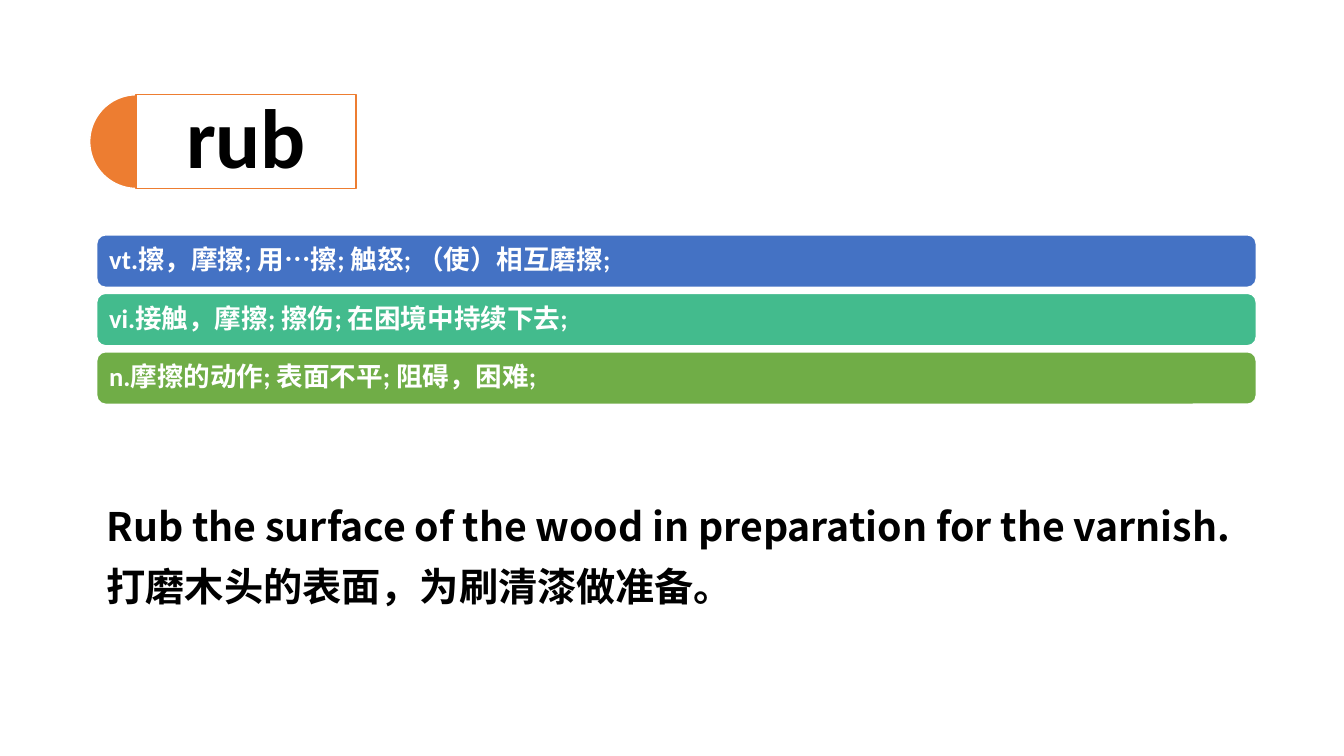
from pptx import Presentation
from pptx.dml.color import RGBColor
from pptx.enum.shapes import MSO_SHAPE
from pptx.enum.text import MSO_ANCHOR, PP_ALIGN
from pptx.util import Inches, Pt

PIE = MSO_SHAPE.PIE
RECT = MSO_SHAPE.RECTANGLE
ROUND = MSO_SHAPE.ROUNDED_RECTANGLE
MIDDLE = MSO_ANCHOR.MIDDLE
LEFT, CENTER = PP_ALIGN.LEFT, PP_ALIGN.CENTER

COLORS = {
    "white": "FFFFFF",
    "black": "000000",
    "orange": "ED7D31",
    "blue": "4472C4",
    "teal": "43BB8D",
    "green": "70AD47",
}


def add_block(kind, x, y, w, h, fill, line):
    block = slide.shapes.add_shape(kind, Inches(x), Inches(y), Inches(w), Inches(h))
    block.shadow.inherit = False
    block.fill.solid()
    block.fill.fore_color.rgb = RGBColor.from_string(COLORS[fill])
    block.line.color.rgb = RGBColor.from_string(COLORS[line])
    block.line.width = Pt(1)
    return block


def set_text(shape, text, font, size, color, align=LEFT, inset=0.1):
    frame = shape.text_frame
    frame.word_wrap = True
    frame.vertical_anchor = MIDDLE
    frame.margin_left = frame.margin_right = Inches(inset)
    frame.margin_top = frame.margin_bottom = Inches(0.05)
    para = frame.paragraphs[0]
    para.text = text
    para.alignment = align
    para.font.name = font
    para.font.size = Pt(size)
    para.font.bold = True
    para.font.color.rgb = RGBColor.from_string(COLORS[color])
    return para


prs = Presentation()
prs.slide_width = Inches(13.33)
prs.slide_height = Inches(7.5)
slide = prs.slides.add_slide(prs.slide_layouts[6])

cap = add_block(PIE, 0.89, 0.94, 0.93, 0.93, "orange", "white")
cap.adjustments[0] = 54
cap.adjustments[1] = 162

title = add_block(RECT, 1.35, 0.94, 2.18, 0.93, "white", "orange")
para = set_text(title, "rub", "Calibri", 60, "black", CENTER, 0.25)
para.line_spacing = 0.9

senses = [
    ("vt.擦，摩擦; 用…擦; 触怒; （使）相互磨擦;", "blue"),
    ("vi.接触，摩擦; 擦伤; 在困境中持续下去;", "teal"),
    ("n.摩擦的动作; 表面不平; 阻碍，困难;", "green"),
]
for row, (text, fill) in enumerate(senses):
    bar = add_block(ROUND, 0.96, 2.33 + row * 0.58, 11.5, 0.52, fill, "white")
    para = set_text(bar, text, "Calibri", 19, "white")
    para.line_spacing = 0.9

samples = [
    ("Rub the surface of the wood in preparation for the varnish.", 12.37),
    ("打磨木头的表面，为刷清漆做准备。", 8.12),
]
for row, (text, width) in enumerate(samples):
    box = slide.shapes.add_textbox(
        Inches(0.96), Inches(4.93 + row * 0.6), Inches(width), Inches(0.57)
    )
    set_text(box, text, "Noto Sans CJK SC", 28, "black")

prs.save("out.pptx")
